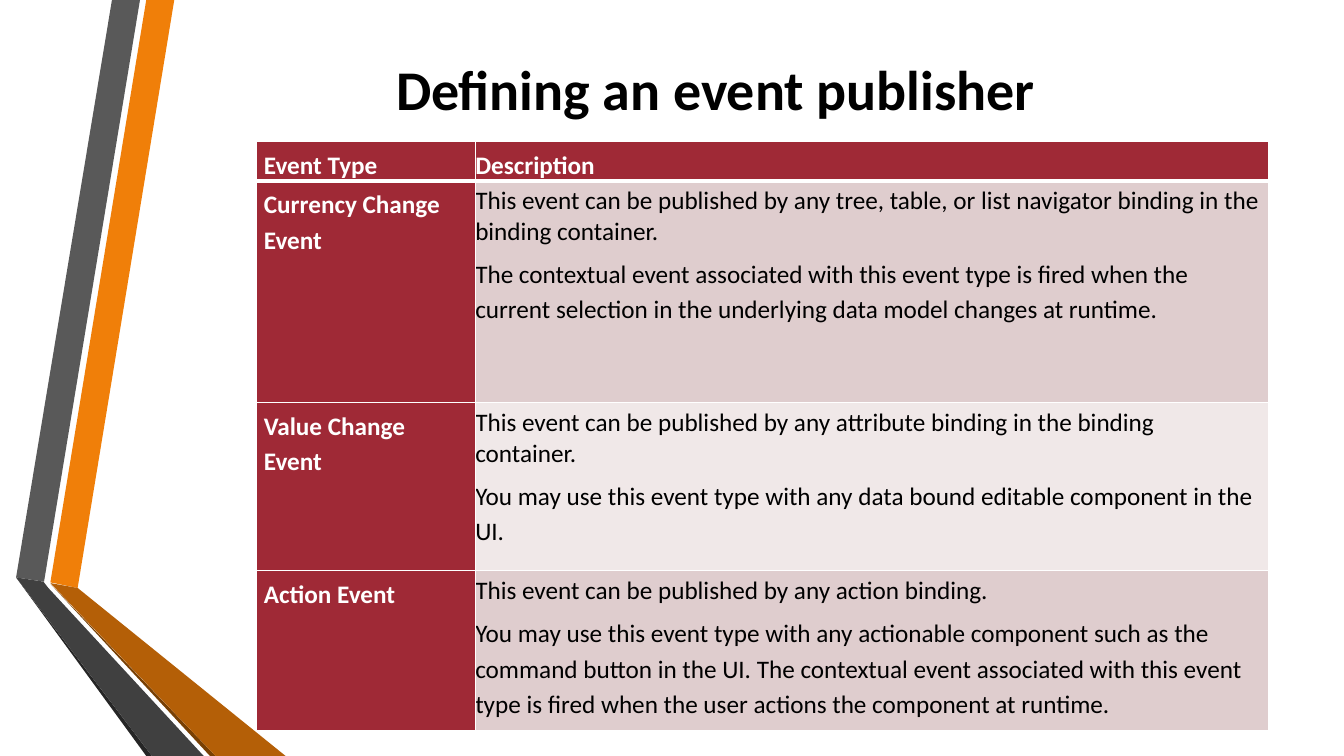
from lxml import etree
from pptx import Presentation, util as u
from pptx.dml.color import RGBColor
from pptx.enum import text
from pptx.oxml.ns import qn

COLORS = {
    "black": "000000", "white": "FFFFFF", "red": "9F2936",
    "band_dark": "DFCDCE", "band_light": "F0E8E8",
    "orange": "F07F09", "orange_mid": "B45F07", "orange_dark": "784004",
    "gray": "595959", "gray_mid": "404040", "gray_dark": "262626",
}

# Ribbon facets: colour and outline in points
RIBBONS = [
    ("orange", [(36, 416), (55.5, 420), (124.5, 0), (104.5, 0)]),
    ("gray", [(100, 0), (80, 0), (11.5, 412.5), (31.5, 415.5)]),
    ("gray_dark", [(11.5, 412.5), (104.5, 540), (108.5, 540)]),
    ("orange_dark", [(36, 417), (150, 540), (154, 540)]),
    ("orange_mid", [(36, 416.5), (154, 540), (204, 540), (55.5, 420)]),
    ("gray_mid", [(145.5, 540), (34.5, 420), (31, 415.5), (11.5, 412.5), (108.5, 540)]),
]

# Event type, line spacing of the first paragraph, description paragraphs
EVENTS = [
    ("Currency Change Event", 1.01, [
        "This event can be published by any tree, table, or list navigator binding "
        "in the binding container.",
        "The contextual event associated with this event type is fired when the "
        "current selection in the underlying data model changes at runtime."]),
    ("Value Change Event", 1.01, [
        "This event can be published by any attribute binding in the binding container.",
        "You may use this event type with any data bound editable component in the UI."]),
    ("Action Event", 1.03, [
        "This event can be published by any action binding.",
        "You may use this event type with any actionable component such as the command "
        "button in the UI. The contextual event associated with this event type is "
        "fired when the user actions the component at runtime."]),
]
COLUMNS = [156.5, 566.5]
ROWS = [26.5, 158.5, 120, 114]


def rgb(name):
    return RGBColor.from_string(COLORS[name])


def set_all(obj, values):
    for name, value in values.items():
        setattr(obj, name, value)


def format_font(font, size, color, bold):
    set_all(font, {"name": "Calibri", "size": u.Pt(size), "bold": bold})
    font.color.rgb = rgb(color)


def add_ribbons(s, left, top):
    for color, points in RIBBONS:
        outline = [(u.Pt(left + x), u.Pt(top + y)) for x, y in points]
        builder = s.shapes.build_freeform(*outline[0])
        builder.add_line_segments(outline[1:], close=True)
        sp = builder.convert_to_shape()
        sp.shadow.inherit = False
        sp.fill.solid()
        sp.fill.fore_color.rgb = rgb(color)
        sp.line.fill.background()


def add_title(s, left, top, width, height):
    sp = s.shapes.title
    set_all(sp, {"left": u.Pt(left), "top": u.Pt(top),
                 "width": u.Pt(width), "height": u.Pt(height)})
    tf = sp.text_frame
    tf.vertical_anchor = text.MSO_ANCHOR.MIDDLE
    p = tf.paragraphs[0]
    p.alignment = text.PP_ALIGN.CENTER
    r = p.add_run()
    r.text = "Defining an event publisher"
    format_font(r.font, 40, "black", True)


def set_borders(cell, widths):
    """Draw white borders; they come before the fill in the cell properties."""
    tc_pr = cell._tc.get_or_add_tcPr()
    for i, (side, width) in enumerate(widths.items()):
        ln = etree.Element(qn(f"a:ln{side}"), w=str(u.Pt(width)))
        fill = etree.SubElement(ln, qn("a:solidFill"))
        etree.SubElement(fill, qn("a:srgbClr"), val=COLORS["white"])
        tc_pr.insert(i, ln)


def fill_cell(cell, paragraphs, fill, color, bold, indent=0, first_spacing=1.15):
    set_all(cell, {"margin_left": 0, "margin_top": u.Pt(3),
                   "margin_right": u.Pt(5.5), "margin_bottom": 0})
    cell.fill.solid()
    cell.fill.fore_color.rgb = rgb(fill)
    tf = cell.text_frame
    for i, words in enumerate(paragraphs):
        p = tf.add_paragraph() if i else tf.paragraphs[0]
        p.line_spacing = 1.15 if i else first_spacing
        if i < len(paragraphs) - 1:
            p.space_after = u.Pt(5.5)
        if indent:
            p._p.get_or_add_pPr().set("marL", str(u.Pt(indent)))
        r = p.add_run()
        r.text = words
        format_font(r.font, 18, color, bold)


def add_event_table(s, left, top):
    frame = s.shapes.add_table(len(ROWS), len(COLUMNS), u.Pt(left), u.Pt(top),
                               u.Pt(sum(COLUMNS)), u.Pt(sum(ROWS)))
    table = frame.table
    for column, width in zip(table.columns, COLUMNS):
        column.width = u.Pt(width)
    for row, height in zip(table.rows, ROWS):
        row.height = u.Pt(height)

    # Header row
    for col, (words, indent) in enumerate([("Event Type", 5.5), ("Description", 0)]):
        fill_cell(table.cell(0, col), [words], "red", "white", True, indent)

    # One row per event type, with alternating bands
    for row, (name, spacing, description) in enumerate(EVENTS, 1):
        band = "band_dark" if row % 2 else "band_light"
        fill_cell(table.cell(row, 0), [name], "red", "white", True, 5.5)
        fill_cell(table.cell(row, 1), description, band, "black", False,
                  first_spacing=spacing)

    # A thicker line below the header
    for row in range(len(ROWS)):
        for col in range(len(COLUMNS)):
            set_borders(table.cell(row, col), {
                "L": 1, "R": 1, "T": 3 if row == 1 else 1, "B": 1 if row else 3})


def main():
    prs = Presentation()
    set_all(prs, {"slide_width": u.Pt(960), "slide_height": u.Pt(540)})
    s = prs.slides.add_slide(prs.slide_layouts[5])
    s.background.fill.solid()
    s.background.fill.fore_color.rgb = rgb("white")
    add_ribbons(s, 0, 0)
    add_title(s, 116.5, 26, 789, 74)
    add_event_table(s, 183, 101)
    prs.save("out.pptx")


if __name__ == "__main__":
    main()
